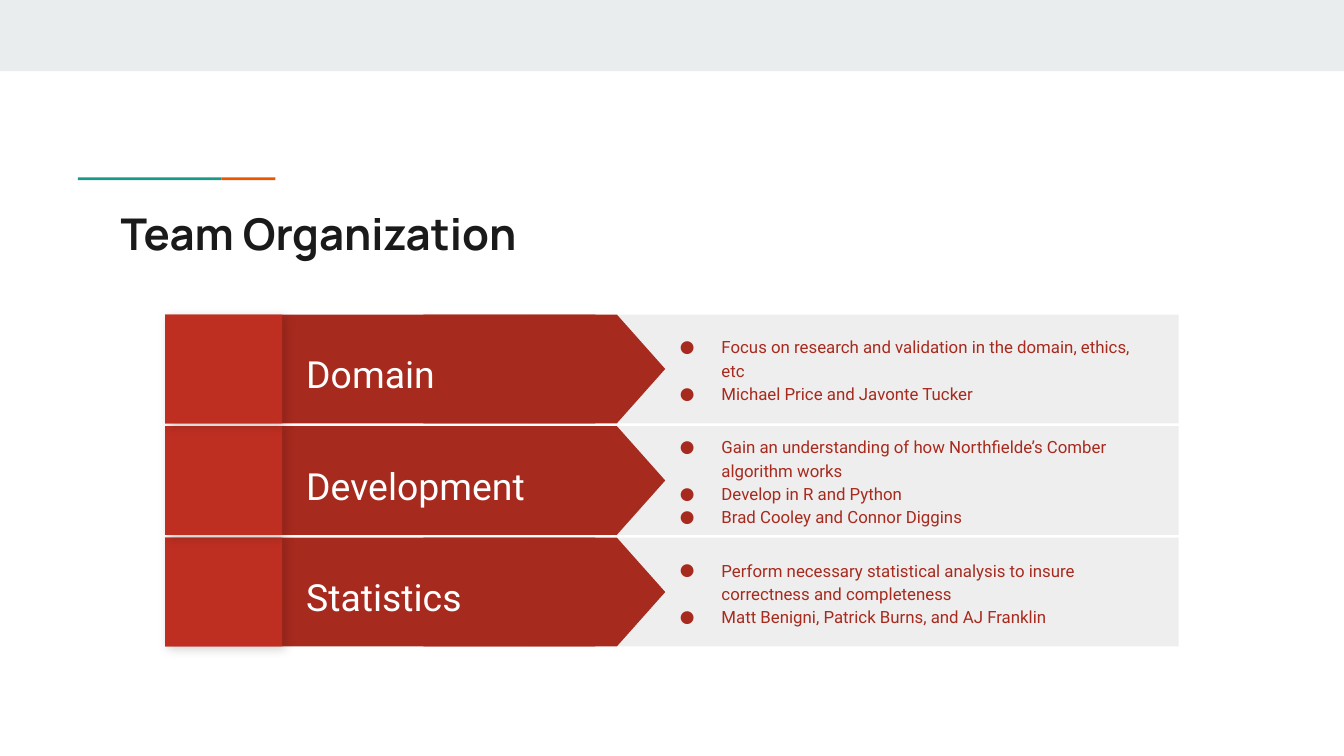
"""Build the Team Organization slide: three labelled arrows with bullet details."""
from lxml import etree
from pptx import Presentation, util as u
from pptx.dml.color import RGBColor
from pptx.enum import shapes, text
from pptx.oxml import ns

W = 10
H = W * 9 / 16
RED, DARK, GREY, WHITE = "BE2F22", "A72A1E", "EEEEEE", "FFFFFF"
MS = shapes.MSO_SHAPE
TOP, PITCH, ROW = 2.34, 0.83, 0.81
TILE, BAR, LABEL, PANEL, NOTES = (1.23, 0.87), (2.1, 2.33), (2.18, 2.46), (3.93, 4.84), (4.77, 3.76)
ARROW, TIP = 1.8, 4.95
TEAMS = [
    ("Domain", ["Focus on research and validation in the domain, ethics, etc",
                "Michael Price and Javonte Tucker"]),
    ("Development", ["Gain an understanding of how Northfielde’s Comber algorithm works",
                     "Develop in R and Python",
                     "Brad Cooley and Connor Diggins"]),
    ("Statistics", ["Perform necessary statistical analysis to insure correctness and completeness",
                    "Matt Benigni, Patrick Burns, and AJ Franklin"]),
]

prs = Presentation()
prs.slide_width, prs.slide_height = u.Inches(W), u.Inches(H)
s = prs.slides.add_slide(prs.slide_layouts[6])


def block(x, y, w, h, color, kind=MS.RECTANGLE):
    sp = s.shapes.add_shape(kind, *map(u.Inches, (x, y, w, h)))
    sp.shadow.inherit = False
    sp.fill.solid()
    sp.fill.fore_color.rgb = RGBColor.from_string(color)
    sp.line.fill.background()
    return sp


def write(x, y, w, h, lines, font, color, anchor="MIDDLE", spacing=1.15, bullet=False):
    tf = s.shapes.add_textbox(*map(u.Inches, (x, y, w, h))).text_frame
    frame = dict(word_wrap=True, vertical_anchor=text.MSO_ANCHOR[anchor])
    frame.update({f"margin_{side}": u.Inches(0.1) for side in ("left", "right", "top", "bottom")})
    for key, value in frame.items():
        setattr(tf, key, value)
    for i, line in enumerate(lines):
        p = tf.paragraphs[0] if i == 0 else tf.add_paragraph()
        p.line_spacing = spacing
        r = p.add_run()
        r.text = line
        r.font.color.rgb = RGBColor.from_string(color)
        for key, value in font.items():
            setattr(r.font, key, value)
        if bullet:
            pPr = p._p.get_or_add_pPr()
            pPr.set("marL", str(u.Inches(0.5)))
            pPr.set("indent", str(u.Inches(-0.31)))
            clr = etree.SubElement(pPr, ns.qn("a:buClr"))
            etree.SubElement(clr, ns.qn("a:srgbClr"), val=color)
            etree.SubElement(pPr, ns.qn("a:buFont"), typeface=font["name"])
            etree.SubElement(pPr, ns.qn("a:buChar"), char="●")


block(0, 0, W, 0.53, "E9EDEE")
for x, w, color in [(0.58, 1.07, "1A9988"), (1.65, 0.4, "EB5600")]:
    block(x, 1.32, w, 0.02, color)
write(0.8, 1.44, 8.41, 0.59, ["Team Organization"],
      dict(name="Manrope", size=u.Pt(23.4), bold=True), "1A1A1A", "TOP", 1.0)

for i, (team, notes) in reversed(list(enumerate(TEAMS))):
    y = TOP + i * PITCH
    block(PANEL[0], y, PANEL[1], ROW, GREY)
    block(BAR[0], y, BAR[1], ROW, DARK)
    arrow = block(TIP - (ARROW + ROW) / 2, y + (ROW - ARROW) / 2, ROW, ARROW,
                  DARK, MS.FLOWCHART_OFFPAGE_CONNECTOR)
    arrow.rotation = 270
    write(LABEL[0], y + 0.1, LABEL[1], 0.63, [team], dict(name="Roboto", size=u.Pt(20)), WHITE)
    base = block(TILE[0], y, TILE[1], ROW, "B02C20")
    effects = base._element.spPr.find(ns.qn("a:effectLst"))
    shadow = etree.SubElement(effects, ns.qn("a:outerShdw"), blurRad=str(u.Pt(5.6)),
                              dist=str(u.Pt(2.2)), dir="2700000", algn="tl", rotWithShape="0")
    tint = etree.SubElement(shadow, ns.qn("a:srgbClr"), val="000000")
    etree.SubElement(tint, ns.qn("a:alpha"), val="17000")
    block(TILE[0], y, TILE[1], ROW, RED)
    write(NOTES[0], y, NOTES[1], ROW, notes, dict(name="Roboto", size=u.Pt(9)), DARK, bullet=True)

prs.save("out.pptx")
